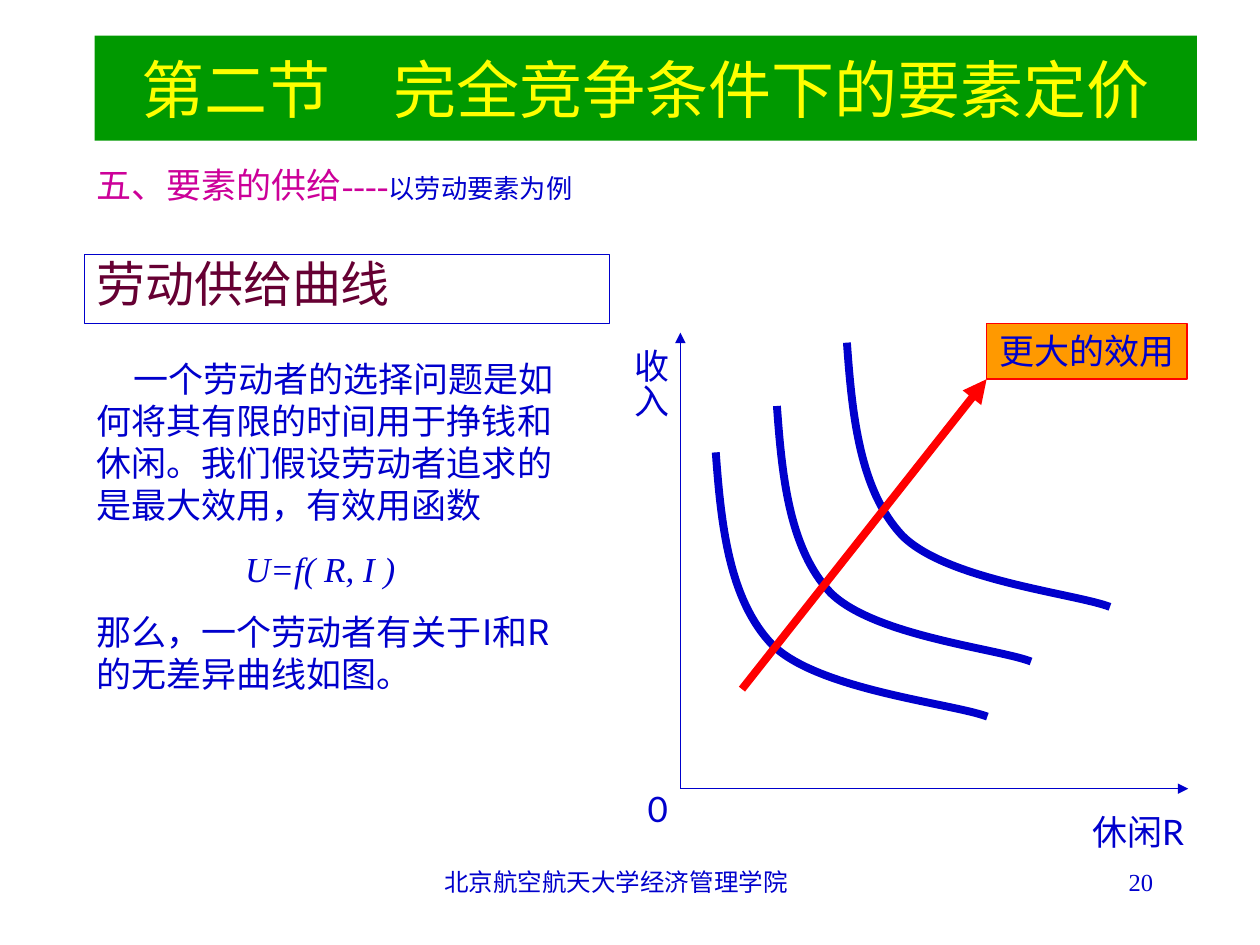
from pptx import Presentation
from pptx.dml.color import RGBColor
from pptx.enum.shapes import MSO_CONNECTOR, MSO_SHAPE
from pptx.enum.text import MSO_ANCHOR, PP_ALIGN
from pptx.oxml.ns import qn
from pptx.util import Pt
from lxml.etree import SubElement

COLORS = {
    "banner": "009900", "title": "FFFF00", "section": "CC0099", "blue": "0000CC",
    "heading": "660033", "red": "FF0000", "label": "FF9900",
}
COLORS = {name: RGBColor.from_string(value) for name, value in COLORS.items()}
SERIF, SANS, CHINESE = "Times New Roman", "Lato", "Noto Sans CJK SC"

presentation = Presentation()
presentation.slide_width, presentation.slide_height = Pt(720), Pt(540)
slide = presentation.slides.add_slide(presentation.slide_layouts[5])
shapes = slide.shapes


def write(paragraph, text, size, font, color="blue"):
    """Append a formatted run to the paragraph."""
    run = paragraph.add_run()
    run.text = text
    run.font.size, run.font.name = Pt(size), font
    run.font.color.rgb = COLORS[color]
    return run


def add_arrow(start, end, color, width):
    arrow = shapes.add_connector(MSO_CONNECTOR.STRAIGHT, *map(Pt, start + end))
    arrow.line.color.rgb, arrow.line.width = COLORS[color], Pt(width)
    SubElement(arrow.line._get_or_add_ln(), qn("a:tailEnd"), type="triangle")
    SubElement(arrow._element.spPr, qn("a:effectLst"))


# Title banner
title = shapes.title
title.left, title.top, title.width, title.height = Pt(54), Pt(20.4), Pt(630), Pt(60)
title.fill.solid()
title.fill.fore_color.rgb = COLORS["banner"]
title.text_frame.vertical_anchor = MSO_ANCHOR.MIDDLE
title.text_frame.paragraphs[0].alignment = PP_ALIGN.CENTER
write(title.text_frame.paragraphs[0], "第二节　完全竞争条件下的要素定价", 36, SERIF, "title")

# Section line
section = shapes.add_textbox(Pt(48), Pt(90), Pt(629), Pt(40))
section.text_frame.word_wrap = True
write(section.text_frame.paragraphs[0], "五、要素的供给----", 20, SERIF, "section")
write(section.text_frame.paragraphs[0], "以劳动要素为例", 15, SERIF)

# Framed heading
heading = shapes.add_textbox(Pt(48), Pt(145.4), Pt(300), Pt(39.6))
heading.line.color.rgb, heading.line.width = COLORS["blue"], Pt(0.25)
heading.text_frame.word_wrap = True
heading.text_frame.paragraphs[0].line_spacing = 0.9
write(heading.text_frame.paragraphs[0], "劳动供给曲线", 28, SERIF, "heading")

# Explanation: text, first-line indent, font
explanation = [
    ("一个劳动者的选择问题是如何将其有限的时间用于挣钱和休闲。"
     "我们假设劳动者追求的是最大效用，有效用函数", 21, CHINESE),
    ("U=f( R, I )", 85, SERIF),
    ("那么，一个劳动者有关于I和R的无差异曲线如图。", 0, CHINESE),
]
frame = shapes.add_textbox(Pt(48), Pt(200.5), Pt(287), Pt(201)).text_frame
frame.word_wrap = True
for index, (text, indent, font) in enumerate(explanation):
    paragraph = frame.add_paragraph() if index else frame.paragraphs[0]
    if index:
        paragraph.space_before = Pt(12.5)
    paragraph._p.get_or_add_pPr().set("indent", str(Pt(indent)))
    run = write(paragraph, text, 20, font)
    run.font.italic = font == SERIF

# Axes
origin = (388.8, 450.7)
add_arrow(origin, (679, 450.7), "blue", 0.75)
add_arrow(origin, (388.8, 190.1), "blue", 0.75)

# Indifference curves: one shape, as fractions of each box (left, top, width, height)
curve = [(0, 0), (0.02, 0.28), (0.05, 0.56), (0.21, 0.73), (0.38, 0.9), (0.87, 0.95), (1, 1)]
for left, top, width, height in [
    (409, 258.5, 155.2, 151), (484, 195.8, 150.3, 151), (444, 232, 145.2, 146),
]:
    points = [(Pt(left + x * width), Pt(top + y * height)) for x, y in curve]
    builder = shapes.build_freeform(*points[0])
    builder.add_line_segments(points[1:], close=False)
    indifference = builder.convert_to_shape()
    # Every three line points become the control points of one cubic segment
    segments = list(indifference._element.iter(qn("a:lnTo")))
    for first in range(0, len(segments), 3):
        cubic = SubElement(segments[first].getparent(), qn("a:cubicBezTo"))
        for segment in segments[first:first + 3]:
            cubic.append(segment[0])
            segment.getparent().remove(segment)
    indifference.fill.background()
    indifference.line.color.rgb, indifference.line.width = COLORS["blue"], Pt(4.5)
    indifference.shadow.inherit = False

# Axis labels
for text, left, top, width, height in [
    ("休闲R", 617, 459.4, 72, 31.7), ("0", 363, 446.4, 26, 31.7), ("收入", 349.2, 192.2, 38.2, 47.5),
]:
    frame = shapes.add_textbox(Pt(left), Pt(top), Pt(width), Pt(height)).text_frame
    frame.word_wrap = False
    write(frame.paragraphs[0], text, 20, SANS)
# The income label, last of the three, runs downwards
frame._txBody.bodyPr.set("vert", "eaVert")
frame.margin_left = frame.margin_right = Pt(3.6)
frame.margin_top = frame.margin_bottom = Pt(7.2)

# Direction of greater utility
add_arrow((424, 393.8), (563.8, 216.7), "red", 4.5)
utility = shapes.add_shape(MSO_SHAPE.RECTANGLE, Pt(563.8), Pt(185), Pt(114.5), Pt(31.7))
utility.shadow.inherit = False
utility.fill.solid()
utility.fill.fore_color.rgb = COLORS["label"]
utility.line.color.rgb, utility.line.width = COLORS["red"], Pt(0.75)
utility.text_frame.word_wrap = False
utility.text_frame.vertical_anchor = MSO_ANCHOR.TOP
utility.text_frame.paragraphs[0].alignment = PP_ALIGN.LEFT
write(utility.text_frame.paragraphs[0], "更大的效用", 20, SANS)

# Footer and page number
for text, left, width, alignment in [
    ("北京航空航天大学经济管理学院", 238, 228, PP_ALIGN.CENTER), ("20", 516, 150, PP_ALIGN.RIGHT),
]:
    frame = shapes.add_textbox(Pt(left), Pt(491.8), Pt(width), Pt(36)).text_frame
    frame.word_wrap = True
    frame.paragraphs[0].alignment = alignment
    write(frame.paragraphs[0], text, 14, SERIF)

presentation.save("out.pptx")
